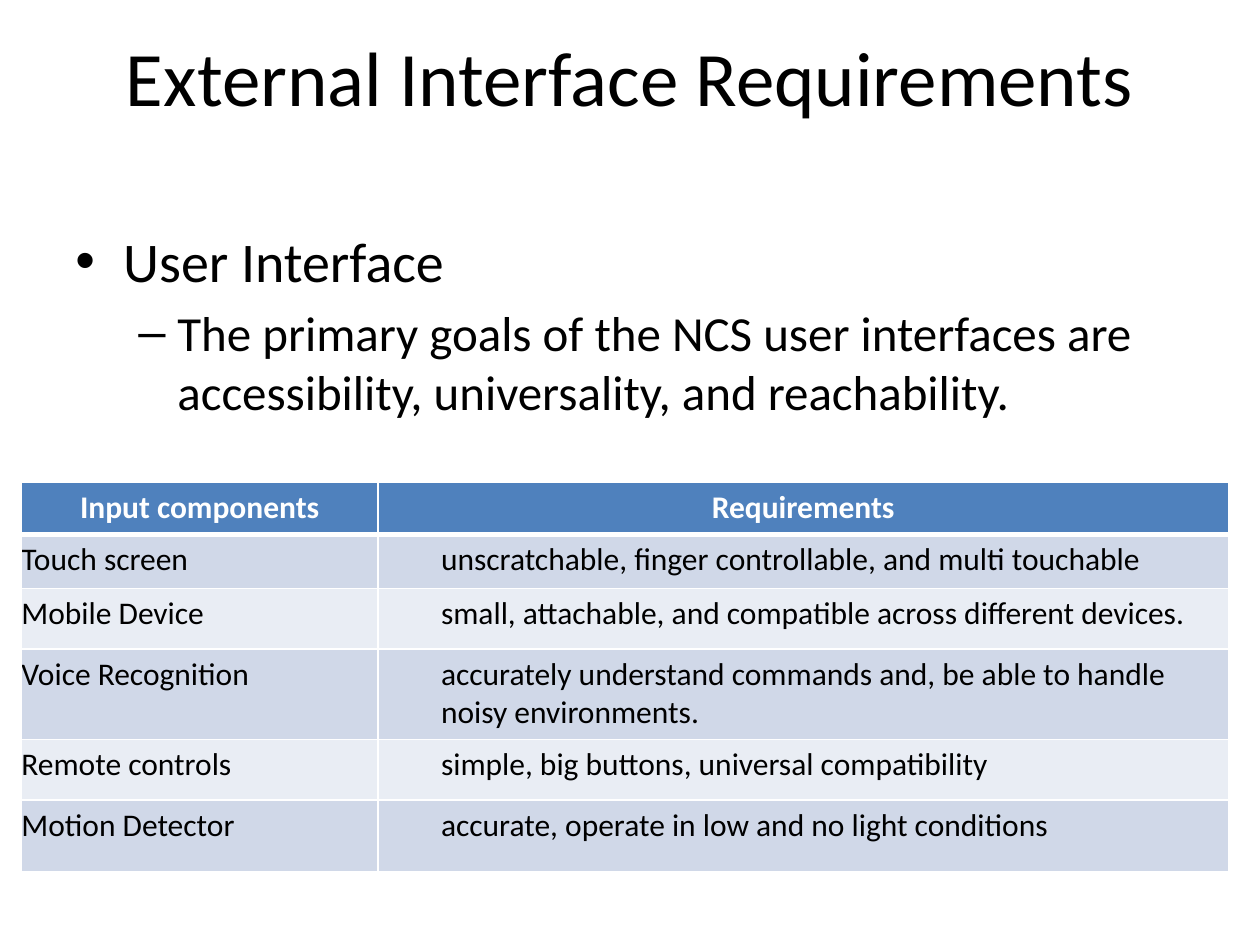
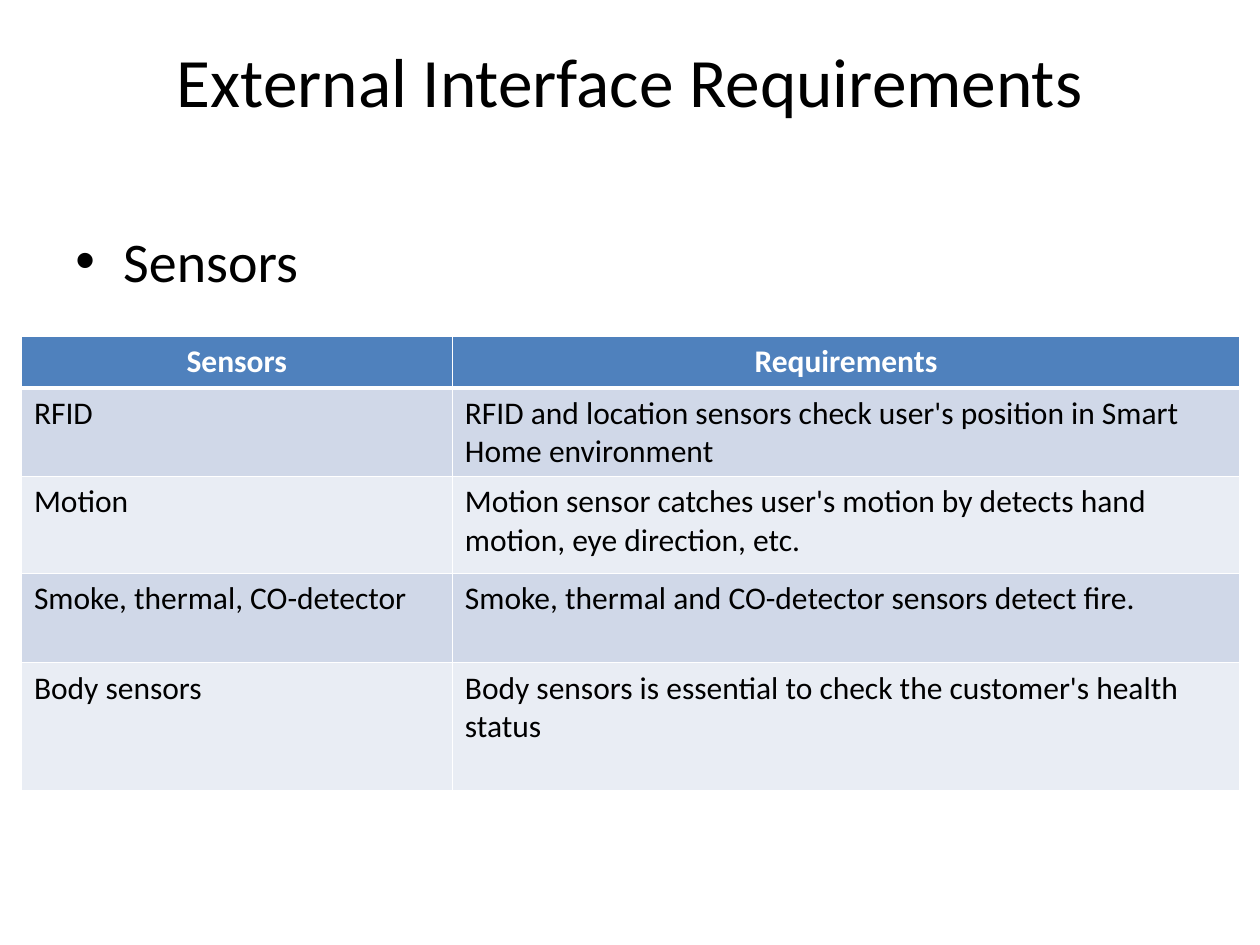
"""Build two slides listing the external interface requirements as tables."""
from dataclasses import dataclass

from lxml import etree
from pptx import Presentation
from pptx import util as u
from pptx.dml.color import RGBColor
from pptx.enum import text
from pptx.oxml import ns

FONT = "Calibri"
BLACK, WHITE, HEADER = "000000", "FFFFFF", "4F81BD"
BANDS = ("D0D8E8", "E9EDF4")
TITLE = "External Interface Requirements"
TABLE_LEFT = 0.17


@dataclass(frozen=True)
class Bullet:
    """Look of one outline level; lengths in inches, sizes in points."""
    mark: str
    size: float
    margin: float
    hanging: float
    space_before: float
    level: int


@dataclass(frozen=True)
class Requirements:
    """Content and geometry of one table, in inches."""
    top: float
    columns: tuple[float, ...]
    heights: tuple[float, ...]
    rows: tuple[tuple[str, str], ...]
    side_inset: float = 0.1
    indent: float = 0


@dataclass(frozen=True)
class Page:
    """Content of one slide."""
    title_size: float
    title_bottom_inset: float
    outline: tuple[tuple[Bullet, str], ...]
    table: Requirements


TOPIC = Bullet("•", 32, 0.38, 0.38, 0, 0)
DETAIL = Bullet("–", 28, 0.81, 0.31, 5, 1)

PAGES = (
    Page(
        44, 0.65,
        ((TOPIC, "User Interface"),
         (DETAIL, "The primary goals of the NCS user interfaces are "
                  "accessibility, universality, and reachability.")),
        Requirements(
            3.83, (2.83, 6.75), (0.41, 0.43, 0.48, 0.72, 0.48, 0.57),
            (("Input components", "Requirements"),
             ("Touch screen", "unscratchable, finger controllable, and multi touchable"),
             ("Mobile Device", "small, attachable, and compatible across different devices."),
             ("Voice Recognition", "accurately understand commands and, be able to handle "
                                   "noisy environments."),
             ("Remote controls", "simple, big buttons, universal compatibility"),
             ("Motion Detector", "accurate, operate in low and no light conditions")),
            side_inset=0, indent=0.5),
    ),
    Page(
        39.6, 0.59,
        ((TOPIC, "Sensors"),),
        Requirements(
            2.67, (3.42, 6.25), (0.41, 0.67, 0.77, 0.71, 1.02),
            (("Sensors", "Requirements"),
             ("RFID", "RFID and location sensors check user's position in Smart "
                      "Home environment"),
             ("Motion", "Motion sensor catches user's motion by detects hand motion, "
                        "eye direction, etc."),
             ("Smoke, thermal, CO-detector",
              "Smoke, thermal and CO-detector sensors detect fire."),
             ("Body sensors", "Body sensors is essential to check the customer's "
                              "health status"))),
    ),
)


def color(value: str) -> RGBColor:
    """Turn a hex string into a colour."""
    return RGBColor.from_string(value)


def apply(target, values: dict) -> None:
    """Set every attribute named in the dict."""
    for name, value in values.items():
        setattr(target, name, value)


def write(paragraph, words: str, size: float, hue: str = BLACK, bold: bool = False) -> None:
    """Add one formatted run to a paragraph."""
    run = paragraph.add_run()
    run.text = words
    apply(run.font, {"name": FONT, "size": u.Pt(size), "bold": bold})
    run.font.color.rgb = color(hue)


def indent(paragraph, margin: float, hanging: float = 0) -> None:
    """Set the left margin and hanging indent of a paragraph."""
    properties = paragraph._p.get_or_add_pPr()
    properties.set("marL", str(u.Inches(margin)))
    properties.set("indent", str(-u.Inches(hanging)))


def add_frame(slide, top: float, height: float, values: dict):
    """Add a wrapping text box across the content width."""
    box = slide.shapes.add_textbox(u.Inches(0.5), u.Inches(top), u.Inches(9), u.Inches(height))
    apply(box.text_frame, {"word_wrap": True, **values})
    return box.text_frame


def add_title(slide, page: Page) -> None:
    """Draw the shared slide title."""
    frame = add_frame(slide, 0.3, 1.25, {
        "vertical_anchor": text.MSO_ANCHOR.MIDDLE,
        "margin_top": 0,
        "margin_bottom": u.Inches(page.title_bottom_inset),
    })
    paragraph = frame.paragraphs[0]
    paragraph.alignment = text.PP_ALIGN.CENTER
    write(paragraph, TITLE, page.title_size)


def add_outline(slide, outline: tuple[tuple[Bullet, str], ...]) -> None:
    """Draw the bulleted outline."""
    frame = add_frame(slide, 1.75, 4.95, {})
    for index, (bullet, words) in enumerate(outline):
        paragraph = frame.add_paragraph() if index else frame.paragraphs[0]
        apply(paragraph, {"level": bullet.level, "space_before": u.Pt(bullet.space_before)})
        indent(paragraph, bullet.margin, bullet.hanging)
        properties = paragraph._p.get_or_add_pPr()
        etree.SubElement(properties, ns.qn("a:buFont"), typeface="Arial")
        etree.SubElement(properties, ns.qn("a:buChar"), char=bullet.mark)
        write(paragraph, words, bullet.size)


def add_borders(cell, top: float, bottom: float) -> None:
    """Give a cell white borders, with widths in points."""
    properties = cell._tc.get_or_add_tcPr()
    widths = {"a:lnL": 1, "a:lnR": 1, "a:lnT": top, "a:lnB": bottom}
    for position, (tag, width) in enumerate(widths.items()):
        line = etree.Element(ns.qn(tag), w=str(u.Pt(width)))
        fill = etree.SubElement(line, ns.qn("a:solidFill"))
        etree.SubElement(fill, ns.qn("a:srgbClr"), val=WHITE)
        properties.insert(position, line)


def fill_cell(cell, words: str, row: int, column: int, content: Requirements) -> None:
    """Format and fill one table cell."""
    heading = row == 0
    inset = u.Inches(0.1 if heading else content.side_inset)
    apply(cell, {"margin_left": inset, "margin_right": inset})
    cell.fill.solid()
    cell.fill.fore_color.rgb = color(HEADER if heading else BANDS[(row - 1) % 2])
    add_borders(cell, 3 if row == 1 else 1, 3 if heading else 1)
    paragraph = cell.text_frame.paragraphs[0]
    if heading:
        paragraph.alignment = text.PP_ALIGN.CENTER
    elif column and content.indent:
        paragraph.level = 1
        indent(paragraph, content.indent)
    write(paragraph, words, 18, WHITE if heading else BLACK, heading)


def add_requirements(slide, content: Requirements) -> None:
    """Draw one requirements table."""
    table = slide.shapes.add_table(
        len(content.rows), len(content.columns), u.Inches(TABLE_LEFT), u.Inches(content.top),
        u.Inches(sum(content.columns)), u.Inches(sum(content.heights))).table
    for column, width in zip(table.columns, content.columns):
        column.width = u.Inches(width)
    for row, height in zip(table.rows, content.heights):
        row.height = u.Inches(height)
    for row, entries in enumerate(content.rows):
        for column, words in enumerate(entries):
            fill_cell(table.cell(row, column), words, row, column, content)


def main() -> None:
    """Build and save the presentation."""
    presentation = Presentation()
    apply(presentation, {"slide_width": u.Inches(10), "slide_height": u.Inches(7.5)})
    for page in PAGES:
        slide = presentation.slides.add_slide(presentation.slide_layouts[6])
        add_title(slide, page)
        add_outline(slide, page.outline)
        add_requirements(slide, page.table)
    presentation.save("out.pptx")


main()
